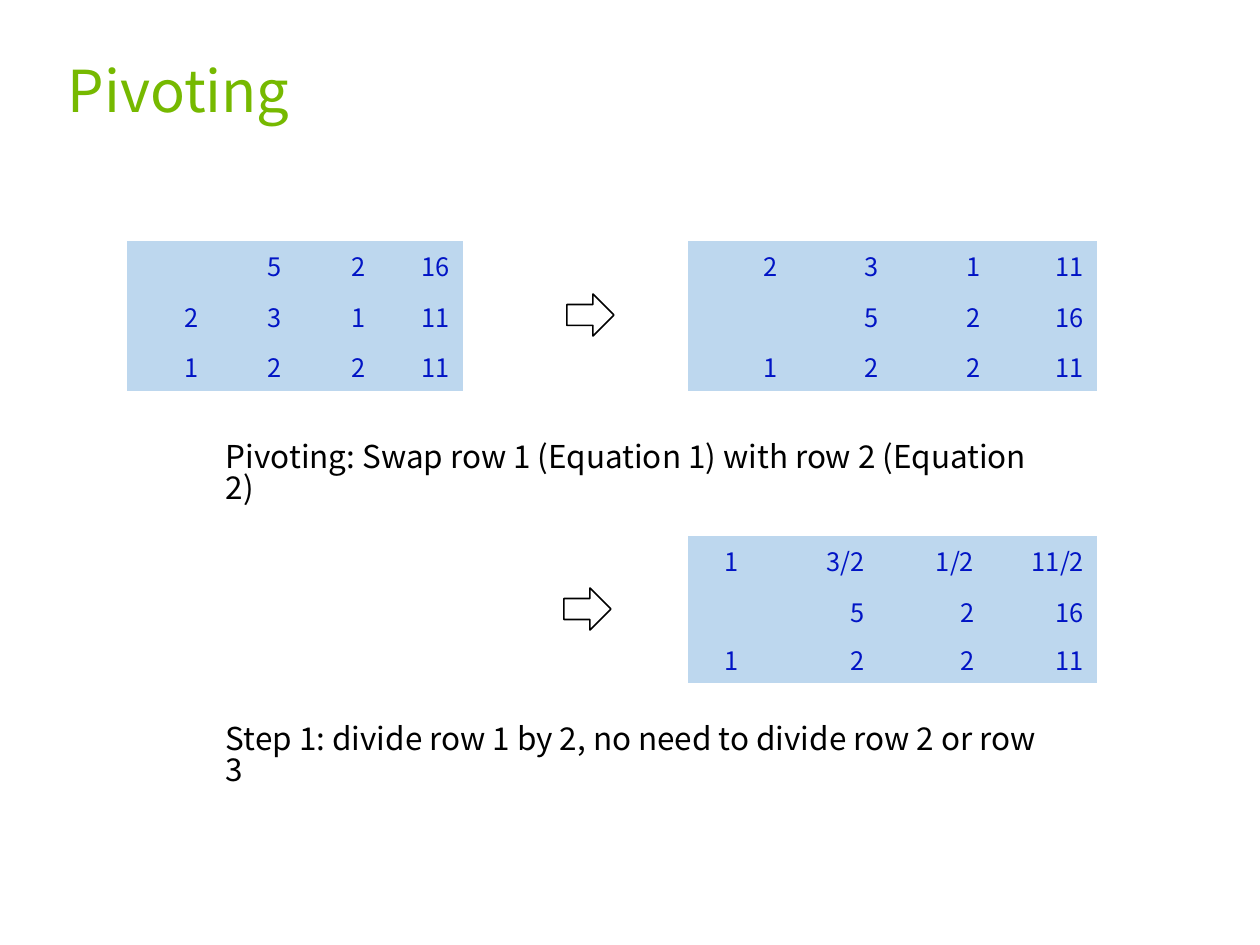
from lxml import etree
from pptx import Presentation
from pptx import util as u
from pptx.dml.color import RGBColor
from pptx.enum import shapes, text
from pptx.oxml.ns import qn

PX = 8000  # EMU per px
FONT = "Noto Sans CJK SC"
NO_STYLE = "{2D5ABB26-0587-4C30-8999-92F81FD0307C}"
COLORS = {"title": "76B900", "cell": "BDD7EE", "number": "0114C5",
          "black": "000000", "white": "FFFFFF"}


def px(*values):
    return [u.Emu(v * PX) for v in values]


def add_run(p, content, size, color):
    r = p.add_run()
    r.text = content
    r.font.name = FONT
    r.font.size = u.Pt(size)
    r.font.color.rgb = RGBColor.from_string(COLORS[color])


prs = Presentation()
prs.slide_width, prs.slide_height = px(1260, 945)
s = prs.slides.add_slide(prs.slide_layouts[6])

# Title and explanations
TOP, BOTTOM = text.MSO_ANCHOR.TOP, text.MSO_ANCHOR.BOTTOM
texts = [
    ("Pivoting", (57, 54, 1145, 77), 36.4, "title", 0.9, BOTTOM),
    ("Pivoting: Swap row 1 (Equation 1) with row 2 (Equation 2)",
     (215, 437, 830, 49), 19.8, "black", 0.83, TOP),
    ("Step 1: divide row 1 by 2, no need to divide row 2 or row 3",
     (215, 719, 842, 49), 19.8, "black", 0.83, TOP),
]
for content, box, size, color, spacing, anchor in texts:
    tf = s.shapes.add_textbox(*px(*box)).text_frame
    tf.word_wrap = True
    tf.vertical_anchor = anchor
    tf.margin_left, tf.margin_top, tf.margin_right, tf.margin_bottom = px(11, 6, 11, 6)
    p = tf.paragraphs[0]
    p.line_spacing = spacing
    add_run(p, content, size, color)

# Matrices: left, top, column widths, row heights, values
matrices = [
    (127, 241, [84] * 4, [51, 50, 49],
     [["", "5", "2", "16"], ["2", "3", "1", "11"], ["1", "2", "2", "11"]]),
    (688, 241, [102, 102, 102, 103], [51, 50, 49],
     [["2", "3", "1", "11"], ["", "5", "2", "16"], ["1", "2", "2", "11"]]),
    (688, 536, [63, 126, 110, 110], [51, 48, 48],
     [["1", "3/2", "1/2", "11/2"], ["", "5", "2", "16"], ["1", "2", "2", "11"]]),
]
for left, top, widths, heights, values in matrices:
    frame = s.shapes.add_table(len(heights), len(widths),
                               *px(left, top, sum(widths), sum(heights)))
    table = frame.table
    table.first_row = table.horz_banding = False
    frame._element.find(".//" + qn("a:tableStyleId")).text = NO_STYLE
    for column, width in zip(table.columns, px(*widths)):
        column.width = width
    for row, height, numbers in zip(table.rows, px(*heights), values):
        row.height = height
        for cell, number in zip(row.cells, numbers):
            cell.fill.solid()
            cell.fill.fore_color.rgb = RGBColor.from_string(COLORS["cell"])
            (cell.margin_left, cell.margin_top,
             cell.margin_right, cell.margin_bottom) = px(13, 6, 13, 5)
            p = cell.text_frame.paragraphs[0]
            p.alignment = text.PP_ALIGN.RIGHT
            if number:
                add_run(p, number, 16, "number")
            else:
                etree.SubElement(p._p, qn("a:endParaRPr"), sz="1600")

# Arrows between the steps
for left, top in [(567, 294), (564, 588)]:
    sp = s.shapes.add_shape(shapes.MSO_SHAPE.RIGHT_ARROW, *px(left, top, 47, 42))
    sp.shadow.inherit = False
    sp.fill.solid()
    sp.fill.fore_color.rgb = RGBColor.from_string(COLORS["white"])
    sp.line.color.rgb = RGBColor.from_string(COLORS["black"])
    sp.line.width = u.Pt(1)

prs.save("out.pptx")
